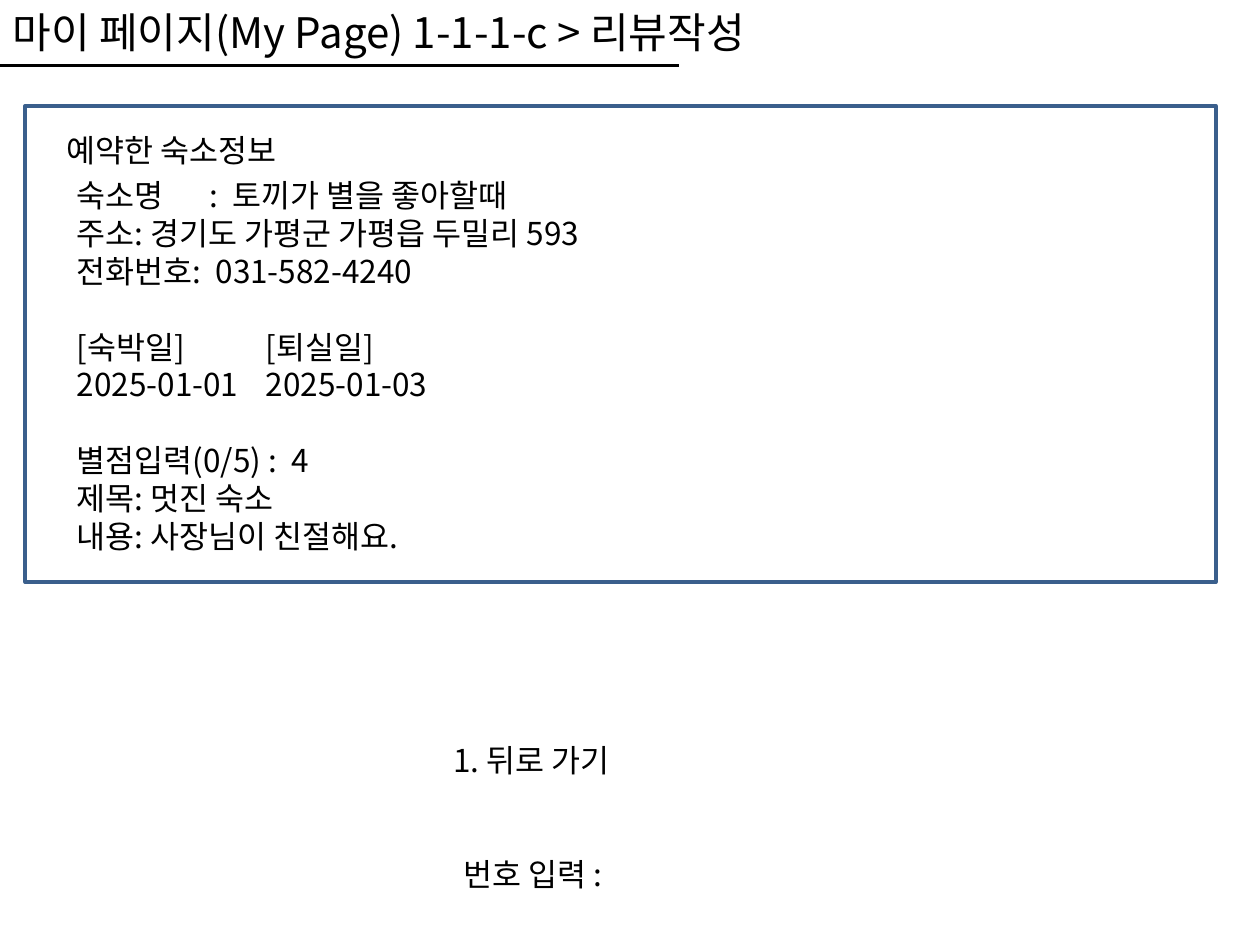
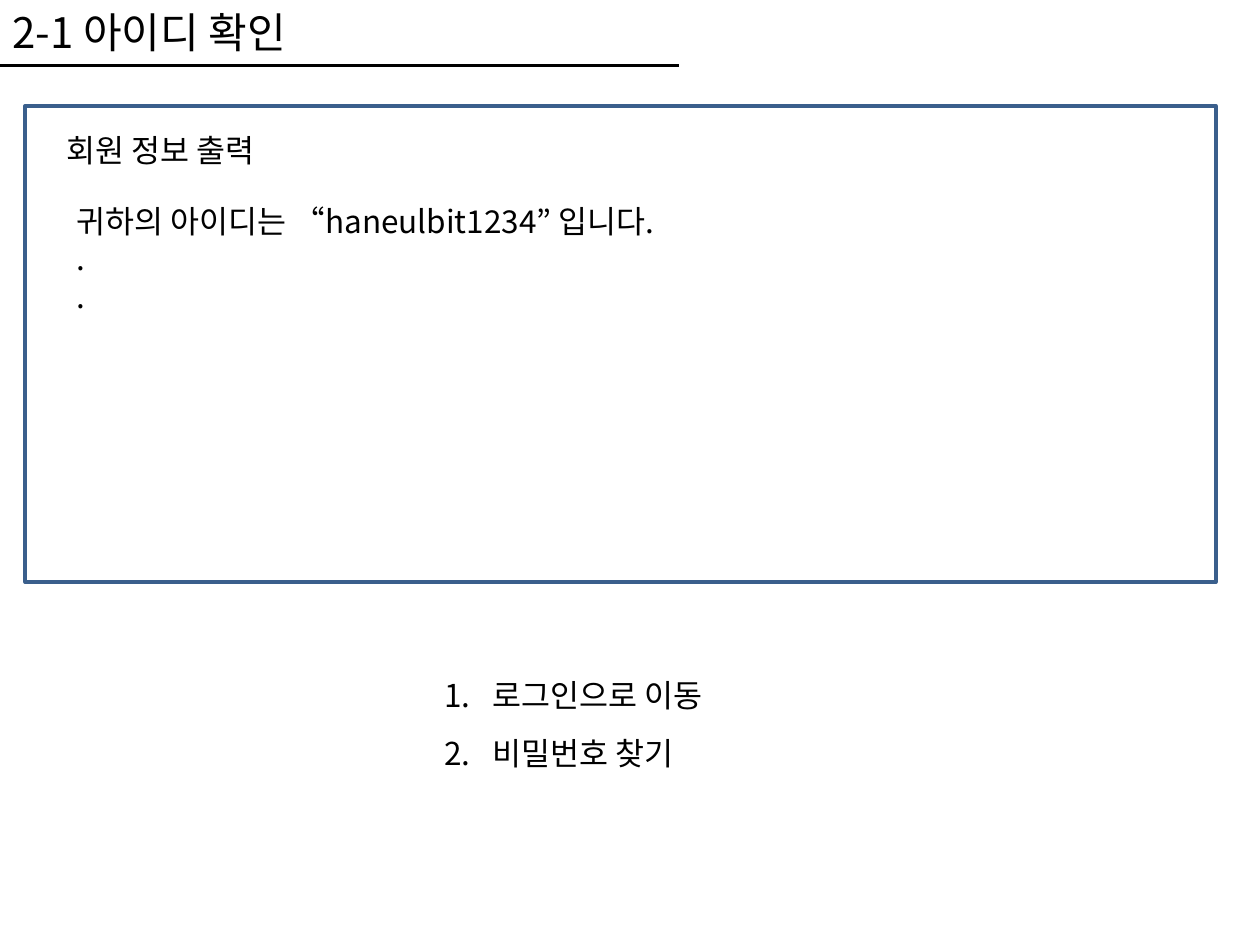
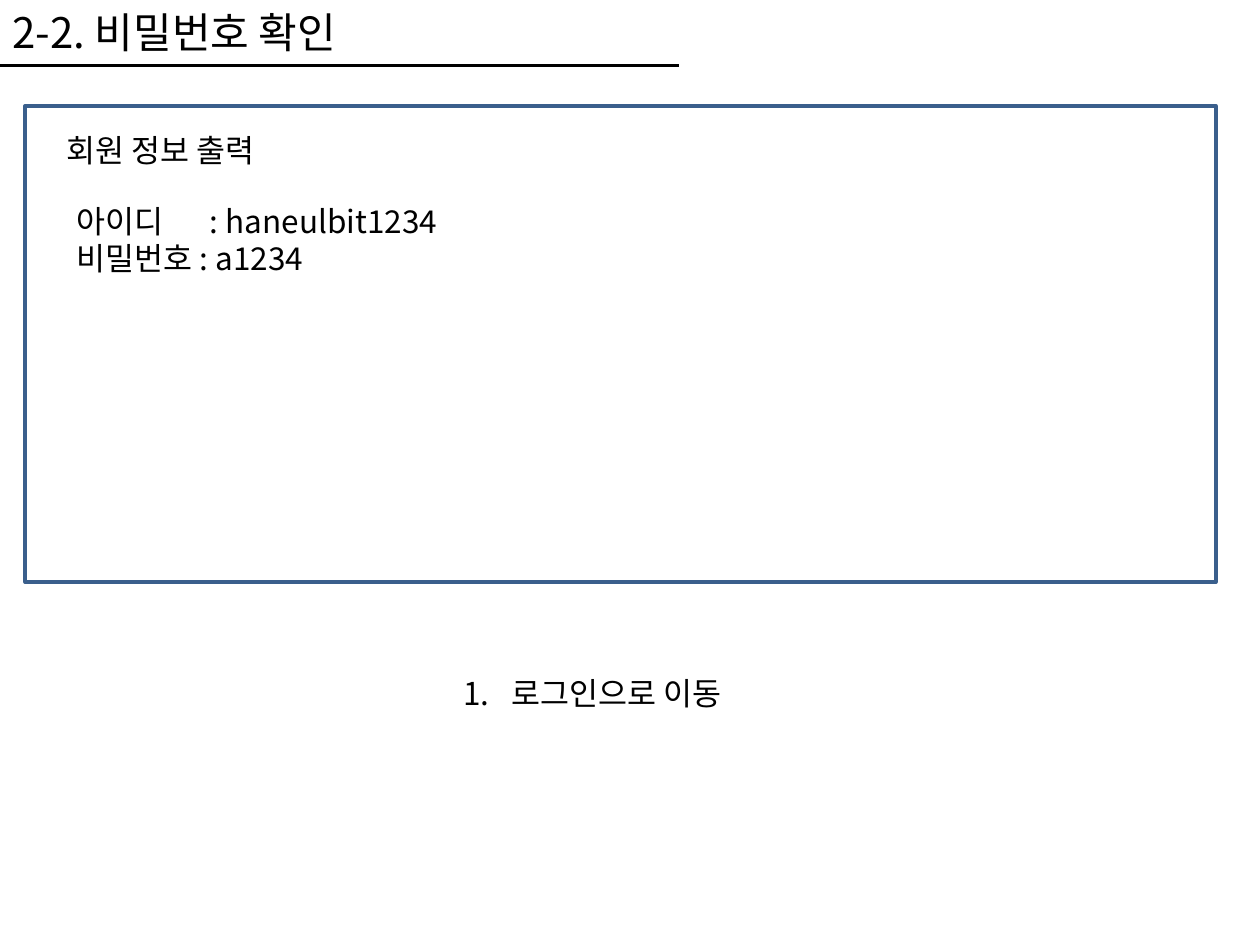
"""Build three screen-plan slides: review writing, ID check and password check."""
from lxml import etree
from pptx import Presentation
from pptx.dml.color import RGBColor
from pptx.enum.shapes import MSO_CONNECTOR, MSO_SHAPE
from pptx.enum.text import MSO_ANCHOR, MSO_AUTO_SIZE, PP_ALIGN
from pptx.oxml.ns import qn
from pptx.util import Inches, Pt

STRAIGHT = MSO_CONNECTOR.STRAIGHT
RECTANGLE = MSO_SHAPE.RECTANGLE
TOP = MSO_ANCHOR.TOP
LEFT = PP_ALIGN.LEFT
NO_AUTO_SIZE = MSO_AUTO_SIZE.NONE

BLACK = RGBColor(0x00, 0x00, 0x00)
FRAME_BLUE = RGBColor(0x3A, 0x5F, 0x8C)
FONT = "Noto Sans CJK KR"
TITLE_SIZE = 24
TEXT_SIZE = 18
LINE_HEIGHT = 1.2

presentation = Presentation()
presentation.slide_width = Inches(10)
presentation.slide_height = Inches(7.5)
COLUMN = presentation.slide_width / 100
ROW = presentation.slide_height / 75
TAB_STOPS = (10 * COLUMN, 20 * COLUMN)


def place(shape, left, top, width, height):
    """Move a shape to a cell range of the grid."""
    shape.left, shape.width = int(left * COLUMN), int(width * COLUMN)
    shape.top, shape.height = int(top * ROW), int(height * ROW)


def write(shape, text, size=TEXT_SIZE, number=None, gaps=(), hanging=0):
    """Fill a shape with one paragraph per line; gaps lists lines set apart from the one above."""
    frame = shape.text_frame
    frame.text = text
    frame.word_wrap = True
    frame.auto_size = NO_AUTO_SIZE
    frame.vertical_anchor = TOP
    for index, paragraph in enumerate(frame.paragraphs):
        paragraph.alignment = LEFT
        paragraph.line_spacing = Pt(size * LINE_HEIGHT)
        paragraph.space_before = Pt(size * LINE_HEIGHT if index in gaps else 0)
        properties = paragraph._p.get_or_add_pPr()
        properties.set("marL", str(int(hanging * COLUMN)))
        properties.set("indent", str(int(-hanging * COLUMN)))
        if number:
            bullet = etree.SubElement(properties, qn("a:buAutoNum"), type="arabicPeriod")
            bullet.set("startAt", str(number))
        else:
            etree.SubElement(properties, qn("a:buNone"))
        if "\t" in paragraph.text:
            tabs = etree.SubElement(properties, qn("a:tabLst"))
            for stop in TAB_STOPS:
                etree.SubElement(tabs, qn("a:tab"), pos=str(int(stop)), algn="l")
        for run in paragraph.runs:
            run.font.size = Pt(size)
            run.font.name = FONT
            run.font.color.rgb = BLACK
            etree.SubElement(run._r.get_or_add_rPr(), qn("a:ea"), typeface=FONT)


SCREENS = [
    {
        "title": "마이 페이지(My Page) 1-1-1-c > 리뷰작성",
        "heading": "예약한 숙소정보",
        "details": [
            "숙소명\t :  토끼가 별을 좋아할때",
            "주소: 경기도 가평군 가평읍 두밀리 593",
            "전화번호:  031-582-4240",
            "[숙박일]\t\t[퇴실일]",
            "2025-01-01\t2025-01-03",
            "별점입력(0/5) :  4",
            "제목: 멋진 숙소",
            "내용: 사장님이 친절해요.",
        ],
        "details_top": 13.5,
        "gaps": (3, 5),
        "menu": [("1. 뒤로 가기", None, 35, 58.3), ("번호 입력 :", None, 35.8, 67.4)],
    },
    {
        "title": "2-1 아이디 확인",
        "heading": "회원 정보 출력",
        "details": ["귀하의 아이디는 “haneulbit1234” 입니다.", ".", "."],
        "details_top": 15.5,
        "gaps": (),
        "menu": [("로그인으로 이동", 1, 34.3, 53.2), ("비밀번호 찾기", 2, 34.3, 57.8)],
    },
    {
        "title": "2-2. 비밀번호 확인",
        "heading": "회원 정보 출력",
        "details": ["아이디\t : haneulbit1234", "비밀번호 : a1234"],
        "details_top": 15.5,
        "gaps": (),
        "menu": [("로그인으로 이동", 1, 35.8, 53)],
    },
]

for screen in SCREENS:
    slide = presentation.slides.add_slide(presentation.slide_layouts[1])
    title, details = slide.placeholders
    place(title, 0, 0, 80, 5)
    write(title, screen["title"], size=TITLE_SIZE)

    frame = slide.shapes.add_shape(RECTANGLE, 0, 0, 0, 0)
    place(frame, 2, 8.4, 94.5, 37.8)
    frame.shadow.inherit = False
    frame.fill.background()
    frame.line.color.rgb = FRAME_BLUE
    frame.line.width = Pt(2)

    underline = slide.shapes.add_connector(STRAIGHT, 0, 0, 0, 0)
    place(underline, 0, 5.2, 53.9, 0)
    underline.line.color.rgb = BLACK
    underline.line.width = Pt(1.75)
    etree.SubElement(underline._element.spPr, qn("a:effectLst"))

    heading = slide.shapes.add_textbox(0, 0, 0, 0)
    place(heading, 4.3, 9.9, 37.8, 4)
    write(heading, screen["heading"])

    line_count = len(screen["details"]) + len(screen["gaps"])
    place(details, 5.1, screen["details_top"], 75.6, 1 + 3 * line_count)
    write(details, "\n".join(screen["details"]), gaps=screen["gaps"])

    for text, number, left, top in screen["menu"]:
        item = slide.shapes.add_textbox(0, 0, 0, 0)
        place(item, left, top, 28.3, 4)
        write(item, text, number=number, hanging=3.8 if number else 0)

presentation.save("out.pptx")
